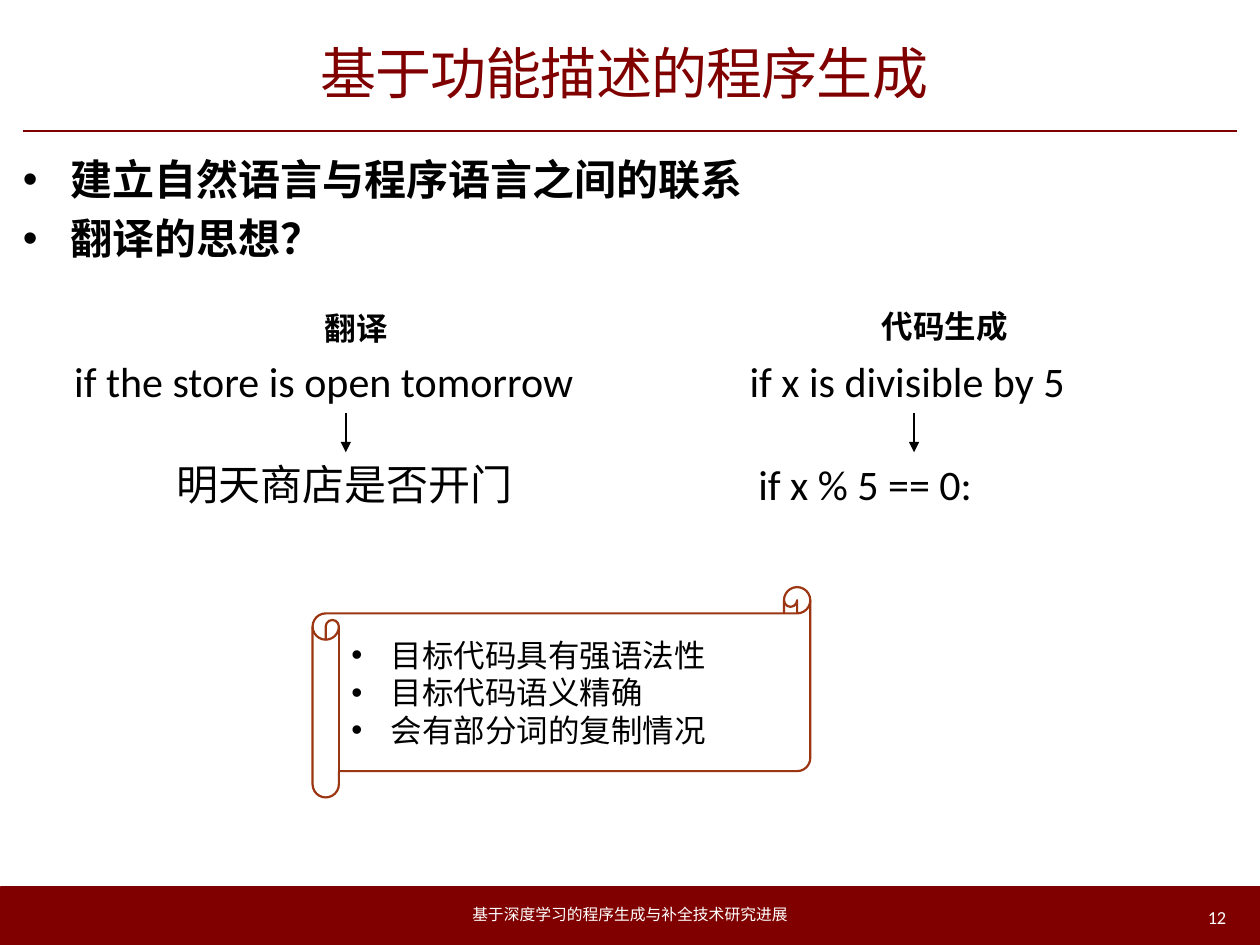
from lxml import etree
from pptx import Presentation
from pptx.dml.color import RGBColor
from pptx.enum.shapes import MSO_CONNECTOR, MSO_SHAPE
from pptx.enum.text import MSO_ANCHOR as Anchor, MSO_AUTO_SIZE as AutoSize, PP_ALIGN as Align
from pptx.oxml.ns import qn
from pptx.util import Pt

COLORS = {"maroon": "800000", "black": "000000", "white": "FFFFFF", "rust": "9C3511"}
LATIN, CJK, FOOTER = "Calibri", "Noto Sans CJK SC", "Quicksand"


def color(name):
    return RGBColor.from_string(COLORS[name])


def place(shape, box):
    shape.left, shape.top, shape.width, shape.height = (Pt(v) for v in box)


def add_run(paragraph, text, size, font=LATIN, ink="black", bold=False):
    run = paragraph.add_run()
    run.text = text
    run.font.size, run.font.name, run.font.bold = Pt(size), font, bold
    run.font.color.rgb = color(ink)
    if font == CJK:
        etree.SubElement(run._r.get_or_add_rPr(), qn("a:ea"), typeface=font)
    return run


def add_bullets(frame, items, size, indent, bold=False, line=1.0, after=0):
    for i, item in enumerate(items):
        paragraph = frame.paragraphs[0] if i == 0 else frame.add_paragraph()
        paragraph.alignment = Align.LEFT
        paragraph.line_spacing = line
        paragraph.space_before, paragraph.space_after = Pt(0), Pt(after)
        props = paragraph._p.get_or_add_pPr()
        props.set("marL", str(Pt(indent)))
        props.set("indent", str(Pt(-indent)))
        etree.SubElement(props, qn("a:buFont"), typeface="Arial")
        etree.SubElement(props, qn("a:buChar"), char="•")
        add_run(paragraph, item, size, CJK, bold=bold)


def add_label(slide, box, text, size, font=LATIN, ink="black", bold=False,
              align=Align.LEFT, anchor=Anchor.TOP, wrap=True):
    label = slide.shapes.add_textbox(*(Pt(v) for v in box))
    frame = label.text_frame
    frame.word_wrap, frame.vertical_anchor = wrap, anchor
    frame.auto_size = AutoSize.SHAPE_TO_FIT_TEXT if anchor == Anchor.TOP else AutoSize.NONE
    frame.paragraphs[0].alignment = align
    add_run(frame.paragraphs[0], text, size, font, ink, bold)
    return label


def add_line(slide, start, end, ink, width):
    line = slide.shapes.add_connector(MSO_CONNECTOR.STRAIGHT, *(Pt(v) for v in start + end))
    line.line.color.rgb, line.line.width = color(ink), Pt(width)
    etree.SubElement(line._element.spPr, qn("a:effectLst"))
    return line


def add_heading(slide, box):
    left, top, width, height = box
    rule_y = top + height + 7.2
    add_line(slide, (left, rule_y), (left + width, rule_y), "maroon", 1.5)
    title = slide.shapes.title
    place(title, box)
    frame = title.text_frame
    frame.vertical_anchor, frame.auto_size = Anchor.MIDDLE, AutoSize.NONE
    frame.paragraphs[0].alignment = Align.CENTER
    run = add_run(frame.paragraphs[0], "基于功能描述的程序生成 ", 32, ink="maroon")
    run._r.get_or_add_rPr().set("spc", "-50")


def add_points(slide, box):
    body = slide.placeholders[1]
    place(body, box)
    frame = body.text_frame
    frame.auto_size, frame.vertical_anchor = AutoSize.NONE, Anchor.TOP
    frame.margin_left = frame.margin_right = 0
    add_bullets(frame, ["建立自然语言与程序语言之间的联系", "翻译的思想？"],
                24, 27, bold=True, line=1.1, after=2)


def add_example(slide, box, heading, heading_box, source, target, target_width):
    """Source sentence above its target, joined by an arrow."""
    left, top, width, height = box
    row = 36.35
    add_label(slide, heading_box, heading, 18, CJK, bold=True, wrap=False)
    source_box = add_label(slide, (left, top, width, row), source, 24)
    target_left = left + (width - target_width) / 2
    target_box = add_label(slide, (target_left, top + height - row, target_width, row), target, 24)
    arrow = add_line(slide, (left, top), (left, top), "black", 1)
    arrow.begin_connect(source_box, 2)
    arrow.end_connect(target_box, 0)
    etree.SubElement(arrow.line._get_or_add_ln(), qn("a:tailEnd"), type="triangle")


def add_scroll(slide, box):
    scroll = slide.shapes.add_shape(MSO_SHAPE.HORIZONTAL_SCROLL, *(Pt(v) for v in box))
    scroll.shadow.inherit = False
    scroll.fill.background()
    scroll.line.color.rgb, scroll.line.width = color("rust"), Pt(1.25)
    scroll.text_frame.vertical_anchor = Anchor.MIDDLE
    add_bullets(scroll.text_frame,
                ["目标代码具有强语法性", "目标代码语义精确", "会有部分词的复制情况"], 18, 22.5)


def add_footer(slide, box):
    left, top, width, height = box
    band = slide.shapes.add_shape(MSO_SHAPE.RECTANGLE, *(Pt(v) for v in box))
    band.shadow.inherit = False
    band.fill.solid()
    band.fill.fore_color.rgb = band.line.color.rgb = color("maroon")
    band.line.width = Pt(3)
    add_label(slide, (left + 216.7, top + 2.2, 285, 25.2), "基于深度学习的程序生成与补全技术研究进展",
              9, FOOTER, "white", align=Align.CENTER, anchor=Anchor.MIDDLE)
    add_label(slide, (left + width - 45.3, top + 3.6, 32.4, 25.2), "12",
              10.5, ink="white", align=Align.RIGHT, anchor=Anchor.MIDDLE)


def main():
    deck = Presentation()
    deck.slide_width, deck.slide_height = Pt(720), Pt(540)
    slide = deck.slides.add_slide(deck.slide_layouts[1])

    # Footer band, title and main points
    add_footer(slide, (0.7, 507.6, 720, 32.4))
    add_heading(slide, (13, 15.1, 694, 52.6))
    add_points(slide, (13, 81.4, 694, 414))

    # Translation beside code generation
    add_example(slide, (35.3, 199.4, 324.7, 95.4), "翻译", (178.6, 172.8, 51.1, 28.8),
                "if the store is open tomorrow", "明天商店是否开门", 207.4)
    add_example(slide, (421.2, 199.4, 202.3, 95.4), "代码生成", (496.8, 172.1, 87.1, 28.8),
                "if x is divisible by 5", "if x % 5 == 0:", 192.2)

    # Traits of the target code
    add_scroll(slide, (178.6, 335.5, 284.4, 120.2))
    deck.save("out.pptx")


if __name__ == "__main__":
    main()
